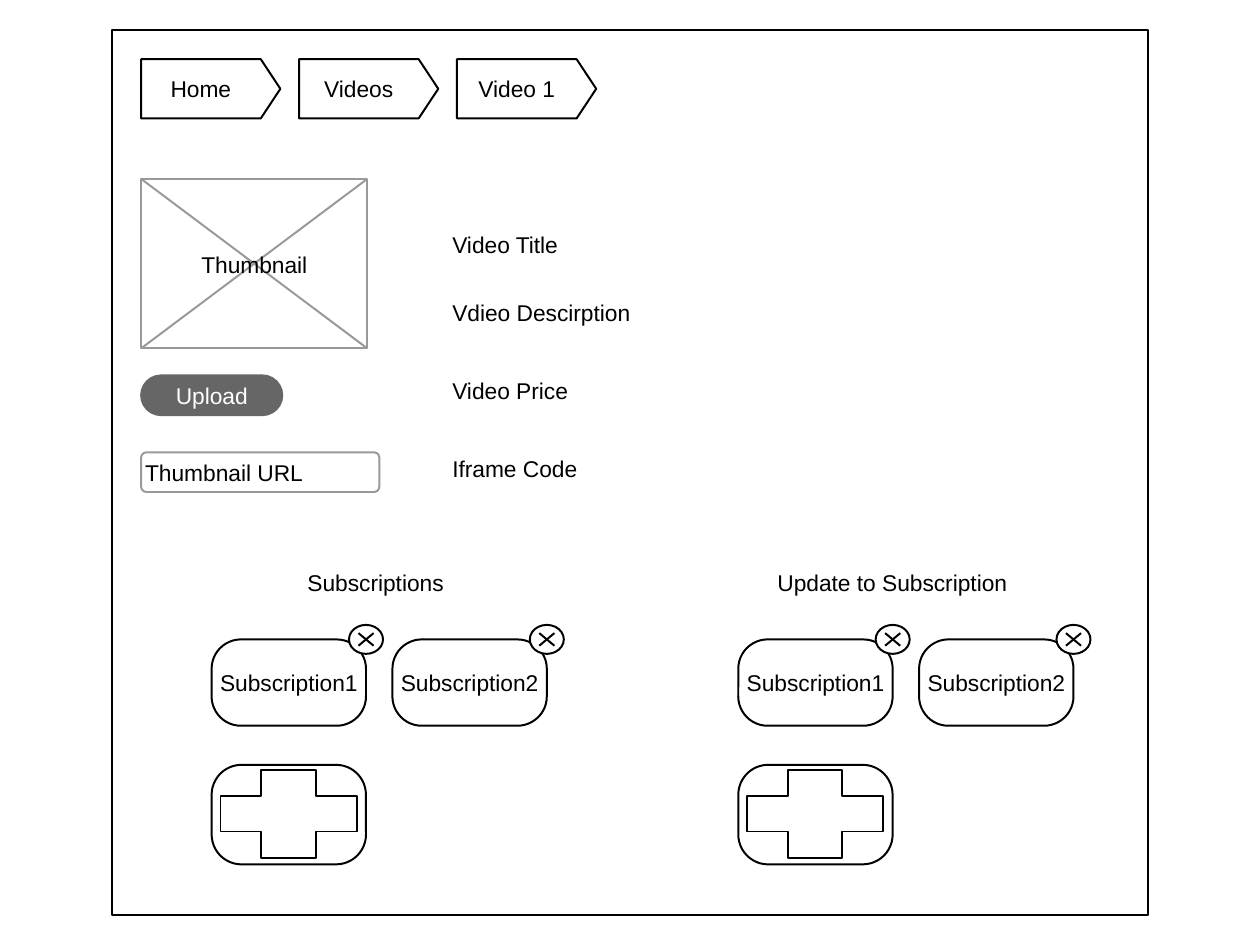
import pptx
import pptx.util
import pptx.dml.color
import pptx.enum.shapes
import pptx.enum.text
import pptx.oxml.ns
import lxml.etree

COLS, ROWS = 100, 75
SHAPE = pptx.enum.shapes.MSO_SHAPE
ALIGN = pptx.enum.text.PP_ALIGN
ANCHOR = pptx.enum.text.MSO_ANCHOR

prs = pptx.Presentation()
prs.slide_width = pptx.util.Inches(10)
prs.slide_height = pptx.util.Inches(7.5)
s = prs.slides.add_slide(prs.slide_layouts[6])


def col(n):
    return round(n * prs.slide_width / COLS)


def row(n):
    return round(n * prs.slide_height / ROWS)


def grid(x, y, w, h):
    return col(x), row(y), col(w), row(h)


def rgb(value):
    return pptx.dml.color.RGBColor.from_string(value)


def stroke(sp, color):
    sp.line.color.rgb = rgb(color)
    sp.line.width = pptx.util.Pt(1.13)


def paint(sp, fill="FFFFFF", line="000000"):
    sp.shadow.inherit = False
    sp.fill.solid()
    sp.fill.fore_color.rgb = rgb(fill)
    stroke(sp, line)


def write(sp, text, color="000000", align=ALIGN.CENTER, anchor=ANCHOR.MIDDLE,
          left=0, right=0, wrap=False):
    tf = sp.text_frame
    tf.text = text
    tf.word_wrap = wrap
    tf.vertical_anchor = anchor
    tf.margin_left, tf.margin_right = col(left), col(right)
    tf.margin_top = tf.margin_bottom = 0
    p = tf.paragraphs[0]
    p.alignment = align
    r = p.runs[0]
    r.font.name = "Arial"
    r.font.size = pptx.util.Pt(13)
    r.font.color.rgb = rgb(color)


def shape(kind, box, fill="FFFFFF", line="000000", adjust=None):
    sp = s.shapes.add_shape(kind, *grid(*box))
    if adjust is not None:
        sp.adjustments[0] = adjust
    paint(sp, fill, line)
    return sp


def label(box, text, **style):
    write(s.shapes.add_textbox(*grid(*box)), text, wrap=True, **style)


def diagonals(x, y, w, h, color="000000"):
    for y1, y2 in ((y, y + h), (y + h, y)):
        c = s.shapes.add_connector(pptx.enum.shapes.MSO_CONNECTOR.STRAIGHT,
                                   col(x), row(y1), col(x + w), row(y2))
        stroke(c, color)
        lxml.etree.SubElement(c._element.spPr, pptx.oxml.ns.qn("a:effectLst"))


def breadcrumbs(x, y, w, h, names):
    pitch = w / len(names)
    for i, name in enumerate(names):
        sp = shape(SHAPE.PENTAGON, (x + i * pitch, y, 11.05, h), adjust=0.33)
        write(sp, name, right=0.8)


def thumbnail_editor(x, y, w, h):
    picture = (x, y, w * 0.95, 13.45)
    shape(SHAPE.RECTANGLE, picture, line="999999")
    diagonals(*picture, color="999999")
    label((x, y + 5.7, w * 0.95, 2.2), "Thumbnail")
    button = shape(SHAPE.ROUNDED_RECTANGLE, (x, y + 15.6, 11.2, 3.15),
                   "666666", "666666", 0.5)
    write(button, "Upload", "FFFFFF")
    field = shape(SHAPE.ROUNDED_RECTANGLE, (x, y + h - 3.15, w, 3.15),
                  line="999999", adjust=0.13)
    write(field, "Thumbnail URL", align=ALIGN.LEFT, left=0.2)


def video_fields(x, y, w, h, fields):
    for top, name in fields:
        label((x, y + top, w, h), name, align=ALIGN.LEFT, anchor=ANCHOR.TOP)


def close_badge(cx, cy):
    shape(SHAPE.OVAL, (cx - 1.35, cy - 1.15, 2.7, 2.3))
    diagonals(cx - 0.6, cy - 0.5, 1.2, 1)


def plus_sign(x, y, w, h):
    xs = [x, x + w * 0.3, x + w * 0.7, x + w]
    ys = [y, y + h * 0.3, y + h * 0.7, y + h]
    corners = [(3, 1), (2, 1), (2, 0), (1, 0), (1, 1), (0, 1),
               (0, 2), (1, 2), (1, 3), (2, 3), (2, 2), (3, 2)]
    points = [(col(xs[i]), row(ys[j])) for i, j in corners]
    fb = s.shapes.build_freeform(*points[0])
    fb.add_line_segments(points[1:], close=True)
    paint(fb.convert_to_shape())


def subscription_group(x, y, w, h, title, indent=0):
    label((x + 3.1, y, 21.8, 2.2), title, align=ALIGN.LEFT,
          anchor=ANCHOR.TOP, left=indent)
    card_w, card_y = 12.25, y + 5.65
    for i in range(2):
        left = x + i * (w - card_w)
        card = shape(SHAPE.ROUNDED_RECTANGLE, (left, card_y, card_w, 6.85), adjust=0.34)
        write(card, f"Subscription{i + 1}")
        close_badge(left + card_w, card_y)
    shape(SHAPE.ROUNDED_RECTANGLE, (x, y + h - 7.9, card_w, 7.9), adjust=0.3)
    plus_sign(x + 0.7, y + h - 7.5, 10.8, 7)


shape(SHAPE.RECTANGLE, (8.9, 2.4, 82.2, 70.2))
breadcrumbs(11.2, 4.7, 37.6, 4.7, ["Home", "Videos", "Video 1"])
thumbnail_editor(11.2, 14.2, 18.9, 24.85)
video_fields(35.9, 18.3, 19, 2.2, [(0, "Video Title"), (5.4, "Vdieo Descirption"),
                                   (11.6, "Video Price"), (17.8, "Iframe Code")])
subscription_group(16.8, 45.1, 26.6, 23.5, "Subscriptions", indent=4.5)
subscription_group(58.6, 45.1, 26.6, 23.5, "Update to Subscription")

prs.save("out.pptx")
